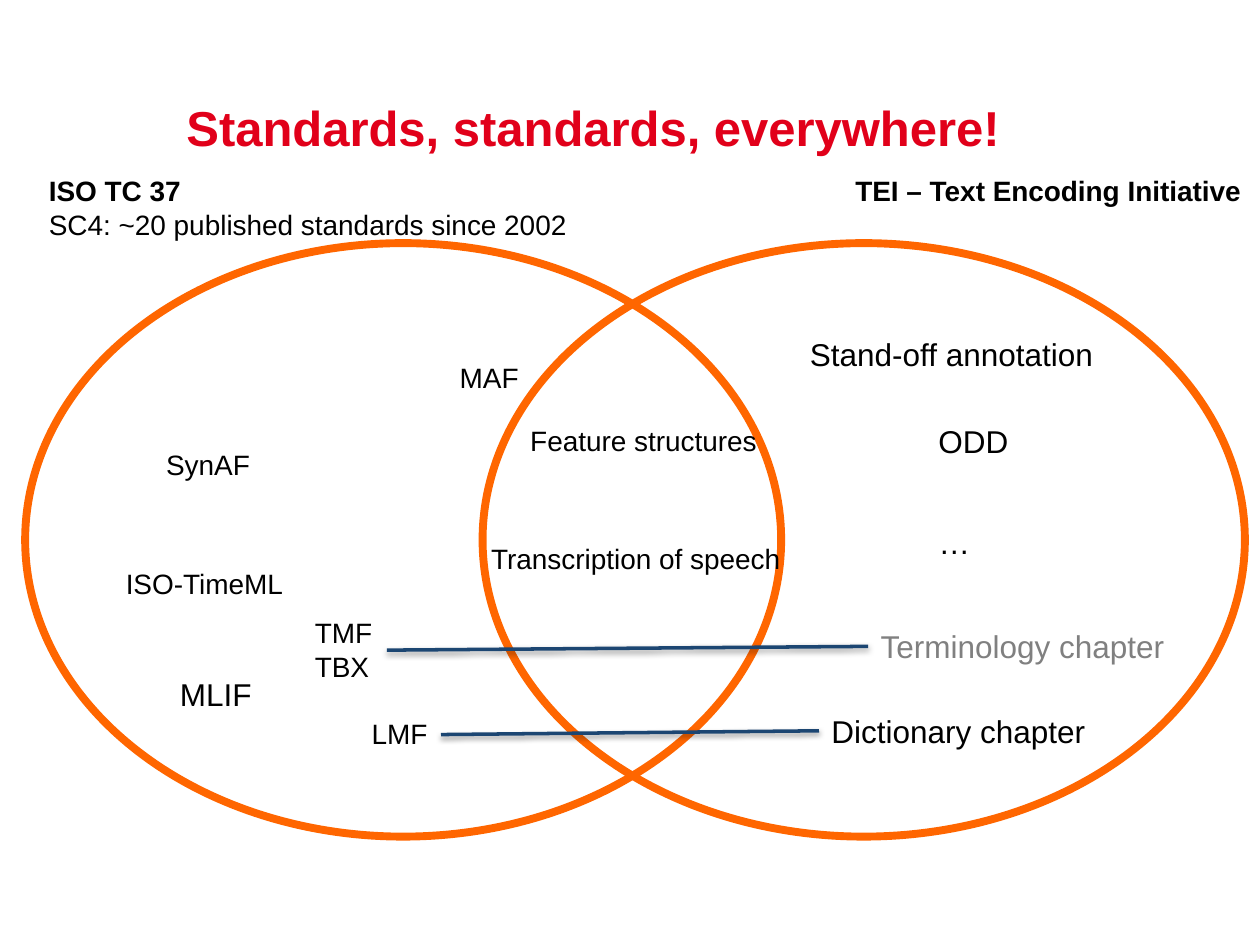
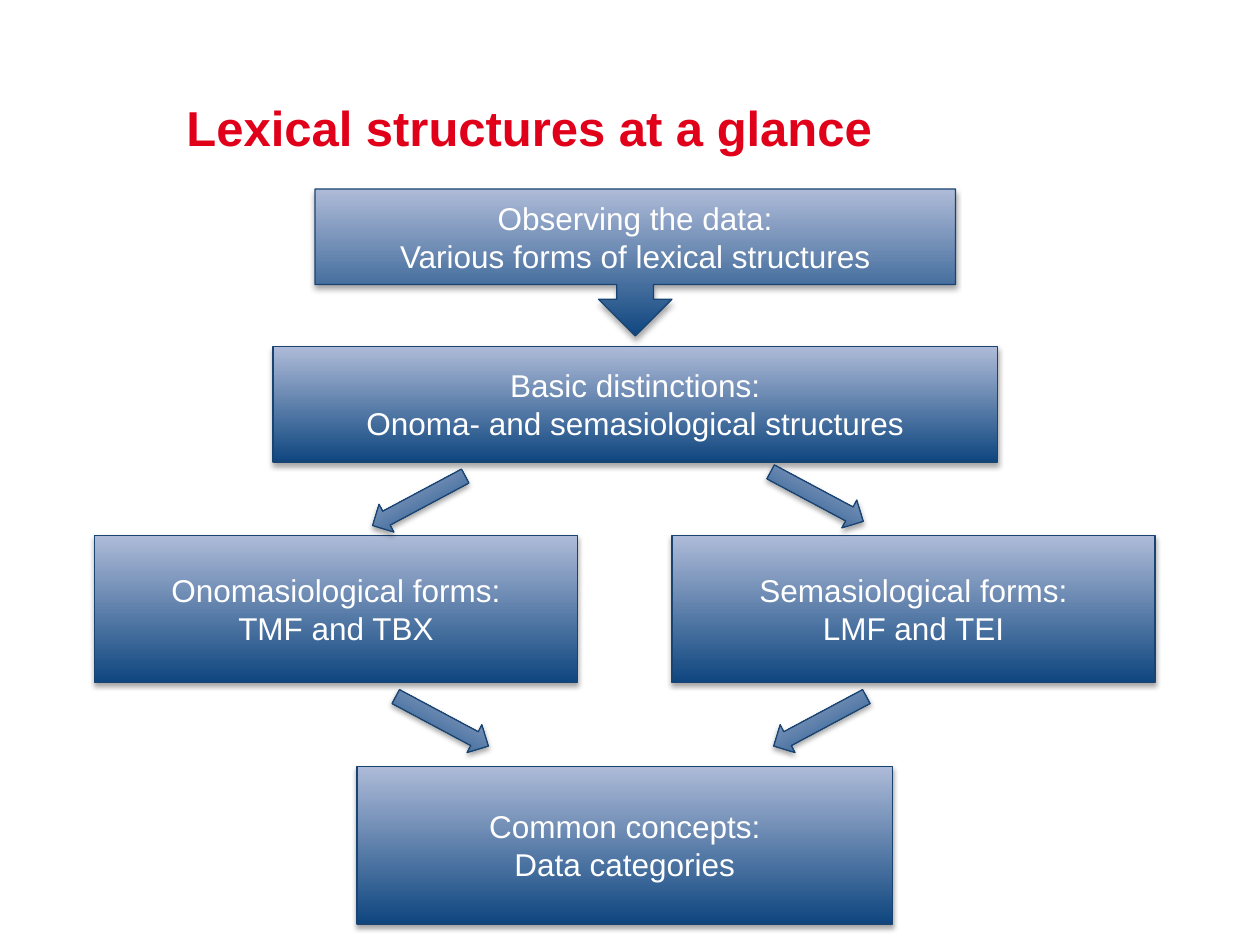
from lxml import etree
from pptx import Presentation
from pptx import util as u
from pptx.dml.color import RGBColor
from pptx.enum import shapes, text
from pptx.oxml import ns

WIDTH, HEIGHT = 10, 7.5
CELLS_PER_INCH = 12
FONT = "Arial"
TITLE_FRAME = (1.48, 0.38, 8.25, 1.25)
COLORS = {
    "title": "E1001A",
    "ink": "000000",
    "muted": "808080",
    "ring": "FF6600",
    "link": "1C4672",
    "edge": "194472",
    "deep": "0F467F",
    "pale": "AEBBD8",
    "light": "FFFFFF",
    "shade": "000000",
}
LINE_HEIGHTS = {16: 0.27, 18: 0.3}
LABEL_PADDING = 0.1

STANDARDS_TITLE = "Standards, standards, everywhere!"
RINGS = [(0.2, 1.93, 6, 4.71), (3.83, 1.93, 6.05, 4.71)]
HEADINGS = [
    (0.29, 1.33, 4.36, ["ISO TC 37", "SC4: ~20 published standards since 2002"]),
    (6.69, 1.33, 3.3, ["TEI – Text Encoding Initiative"]),
]
LABELS = [
    (3.55, 2.81, 0.68, 16, "ink", ["MAF"]),
    (1.22, 3.5, 0.88, 16, "ink", ["SynAF"]),
    (0.9, 4.45, 1.46, 16, "ink", ["ISO-TimeML"]),
    (2.85, 5.64, 0.65, 16, "ink", ["LMF"]),
    (4.11, 3.31, 2.02, 16, "ink", ["Feature structures"]),
    (3.8, 4.25, 2.53, 16, "ink", ["Transcription of speech"]),
    (6.33, 2.61, 2.47, 18, "ink", ["Stand-off annotation"]),
    (6.5, 5.6, 2.24, 18, "ink", ["Dictionary chapter"]),
    (2.4, 4.84, 0.66, 16, "ink", ["TMF", "TBX"]),
    (6.89, 4.93, 2.48, 18, "muted", ["Terminology chapter"]),
    (7.35, 3.3, 0.76, 18, "ink", ["ODD"]),
    (1.33, 5.31, 0.78, 18, "ink", ["MLIF"]),
    (7.35, 4.1, 0.45, 18, "ink", ["…"]),
]
LINKS = [(3.07, 5.16, 6.89, 5.13), (3.5, 5.83, 6.5, 5.8)]

LEXICAL_TITLE = "Lexical structures at a glance"
STEPS = [
    ("DOWN_ARROW_CALLOUT", (30, 18, 61, 14),
     ["Observing the data:", "Various forms of lexical structures"]),
    ("RECTANGLE", (26, 33, 69, 11),
     ["Basic distinctions:", "Onoma- and semasiological structures"]),
    ("RECTANGLE", (9, 51, 46, 14), ["Onomasiological forms:", "TMF and TBX"]),
    ("RECTANGLE", (64, 51, 46, 14), ["Semasiological forms:", "LMF and TEI"]),
    ("RECTANGLE", (34, 73, 51, 15), ["Common concepts:", "Data categories"]),
]
ARROW_SIZE = (10, 3)
ARROW_TILT = 28.1
ARROWS = [
    ("LEFT_ARROW", 39.9, 47.7),
    ("RIGHT_ARROW", 77.8, 47.3),
    ("RIGHT_ARROW", 42.1, 68.7),
    ("LEFT_ARROW", 78.1, 68.7),
]


def color(name):
    return RGBColor.from_string(COLORS[name])


def inches(frame):
    return [u.Inches(length) for length in frame]


def cells(frame):
    return inches(length / CELLS_PER_INCH for length in frame)


def write(frame, lines, size, tint, align=text.PP_ALIGN.LEFT, bold_lines=0):
    frame.text = "\n".join(lines)
    for index, para in enumerate(frame.paragraphs):
        para.alignment = align
        for span in para.runs:
            span.font.name = FONT
            span.font.size = u.Pt(size)
            span.font.bold = index < bold_lines
            span.font.color.rgb = color(tint)


def cast_shadow(item, distance, opacity):
    effects = etree.SubElement(item.element.spPr, ns.qn("a:effectLst"))
    shadow = etree.SubElement(
        effects, ns.qn("a:outerShdw"), blurRad=str(u.Pt(3.1)),
        dist=str(u.Pt(distance)), dir="5400000", rotWithShape="0")
    tint = etree.SubElement(shadow, ns.qn("a:srgbClr"), val=COLORS["shade"])
    etree.SubElement(tint, ns.qn("a:alpha"), val=str(opacity * 1000))


def add_page(deck, title):
    page = deck.slides.add_slide(deck.slide_layouts[5])
    box = page.shapes.title
    box.left, box.top, box.width, box.height = inches(TITLE_FRAME)
    frame = box.text_frame
    frame.margin_left = frame.margin_right = 0
    frame.margin_top = frame.margin_bottom = 0
    frame.vertical_anchor = text.MSO_ANCHOR.MIDDLE
    write(frame, [title], 28, "title", bold_lines=1)
    return page


def add_ring(page, frame):
    ring = page.shapes.add_shape(shapes.MSO_SHAPE.OVAL, *inches(frame))
    ring.shadow.inherit = False
    ring.fill.background()
    ring.line.color.rgb = color("ring")
    ring.line.width = u.Pt(4.5)


def add_label(page, left, top, width, size, tint, lines, rows=None, bold_lines=0):
    height = LABEL_PADDING + (rows or len(lines)) * LINE_HEIGHTS[size]
    box = page.shapes.add_textbox(*inches((left, top, width, height)))
    box.text_frame.word_wrap = False
    box.text_frame.auto_size = text.MSO_AUTO_SIZE.SHAPE_TO_FIT_TEXT
    write(box.text_frame, lines, size, tint, bold_lines=bold_lines)


def add_link(page, ends):
    link = page.shapes.add_connector(shapes.MSO_CONNECTOR.STRAIGHT, *inches(ends))
    link.line.color.rgb = color("link")
    link.line.width = u.Pt(2)
    cast_shadow(link, 1.6, 38)


def add_block(page, kind, frame):
    block = page.shapes.add_shape(getattr(shapes.MSO_SHAPE, kind), *cells(frame))
    block.fill.gradient()
    block.fill.gradient_angle = 90
    for stop, name, position in zip(block.fill.gradient_stops, ("deep", "pale"), (0, 1)):
        stop.color.rgb = color(name)
        stop.position = position
    block.line.color.rgb = color("edge")
    block.line.width = u.Pt(0.75)
    cast_shadow(block, 1.8, 35)
    return block


def build_standards(deck):
    page = add_page(deck, STANDARDS_TITLE)
    for frame in RINGS:
        add_ring(page, frame)
    for left, top, width, lines in HEADINGS:
        add_label(page, left, top, width, 16, "ink", lines, rows=2, bold_lines=1)
    for label in LABELS:
        add_label(page, *label)
    for ends in LINKS:
        add_link(page, ends)


def build_lexical(deck):
    page = add_page(deck, LEXICAL_TITLE)
    for kind, frame, lines in STEPS:
        block = add_block(page, kind, frame)
        block.text_frame.word_wrap = True
        block.text_frame.vertical_anchor = text.MSO_ANCHOR.MIDDLE
        write(block.text_frame, lines, 18, "light", text.PP_ALIGN.CENTER)
    width, height = ARROW_SIZE
    for kind, center, middle in ARROWS:
        frame = (center - width / 2, middle - height / 2, width, height)
        arrow = add_block(page, kind, frame)
        arrow.rotation = ARROW_TILT if kind == "RIGHT_ARROW" else 360 - ARROW_TILT


def main():
    deck = Presentation()
    deck.slide_width, deck.slide_height = inches((WIDTH, HEIGHT))
    build_standards(deck)
    build_lexical(deck)
    deck.save("out.pptx")


if __name__ == "__main__":
    main()
